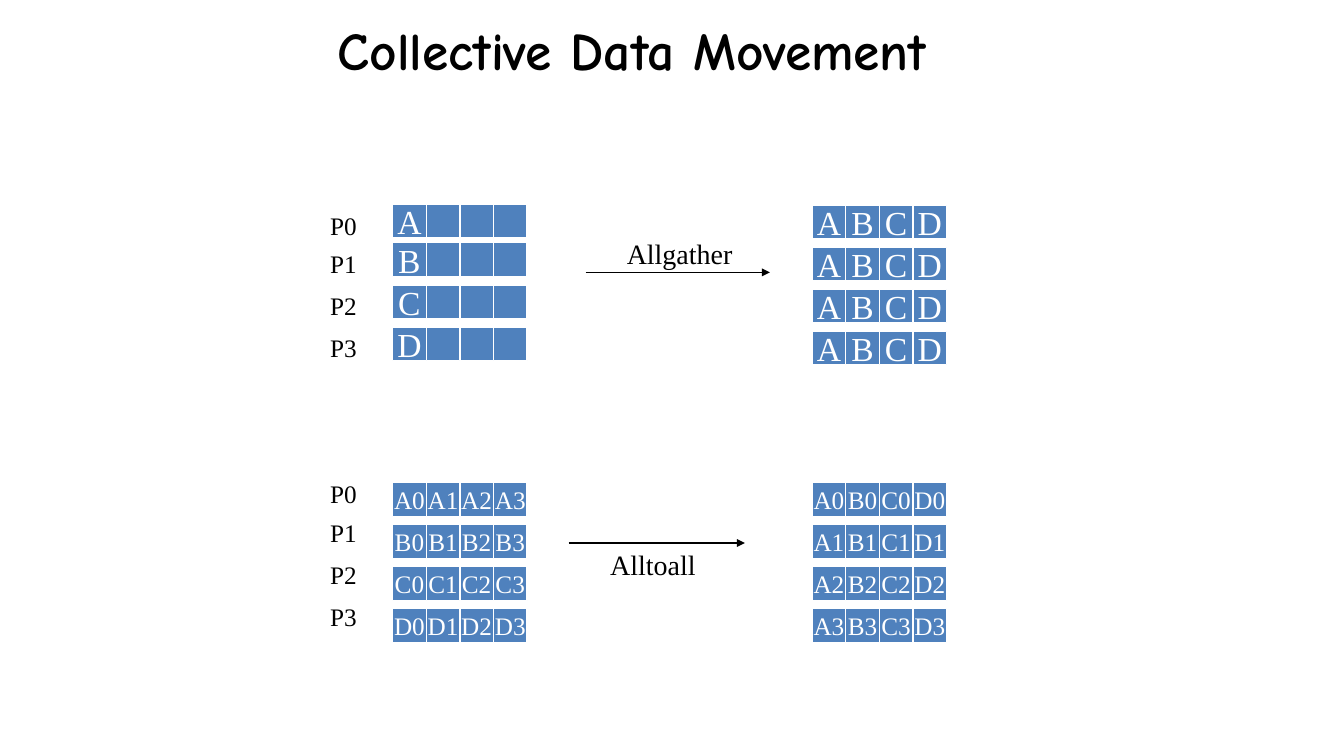
from lxml import etree
from pptx import Presentation
from pptx.dml.color import RGBColor
from pptx.enum.shapes import MSO_CONNECTOR, MSO_SHAPE
from pptx.enum.text import MSO_ANCHOR, MSO_AUTO_SIZE, PP_ALIGN
from pptx.oxml.ns import qn
from pptx.util import Pt

RECTANGLE = MSO_SHAPE.RECTANGLE
STRAIGHT = MSO_CONNECTOR.STRAIGHT
MIDDLE = MSO_ANCHOR.MIDDLE
CENTER, LEFT = PP_ALIGN.CENTER, PP_ALIGN.LEFT
GROW = MSO_AUTO_SIZE.SHAPE_TO_FIT_TEXT

# Content
TITLE = "Collective Data Movement"
PROCESSES = ["P0", "P1", "P2", "P3"]
LETTERS = "ABCD"
BLOCKS = [[f"{letter}{i}" for i in range(4)] for letter in LETTERS]

# Row offsets: one set is evenly spaced, the other has a tighter first gap
EVEN = [0, 31.5, 63, 94.5]
TIGHT = [0, 28.8, 60.4, 92.1]
BEFORE_X, AFTER_X, PROCESS_X = 294.5, 609.1, 240.5
CELL = 25.2

# Each grid: left, top, row offsets, text size, rows
GRIDS = [
    (BEFORE_X, 153.4, TIGHT, 25.2, [[letter, "", "", ""] for letter in LETTERS]),
    (AFTER_X, 154.1, EVEN, 25.2, [list(LETTERS)] * 4),
    (BEFORE_X, 362.3, EVEN, 18.9, BLOCKS),
    (AFTER_X, 362.3, EVEN, 18.9, list(zip(*BLOCKS))),
]
PROCESS_TOPS = [154.1, 355.7]
# Each operation: name, label box, arrow start, arrow end, arrow height
OPERATIONS = [
    ("Allgather", (463, 174.2, 93.6, 32.4), 439.2, 577.4, 204.4),
    ("Alltoall", (450.6, 407.6, 78.5, 32.4), 426.4, 558.7, 407.5),
]

BODY_FONT = "Times New Roman"
BLACK, WHITE, BLUE = "000000", "FFFFFF", "4F81BD"


def color(hex_value):
    return RGBColor.from_string(hex_value)


def write(shape, text, size, hex_value, align, font=BODY_FONT, bold=False):
    paragraph = shape.text_frame.paragraphs[0]
    paragraph.alignment = align
    run = paragraph.add_run()
    run.text = text
    formats = {"name": font, "size": Pt(size), "bold": bold}
    for attribute, value in formats.items():
        setattr(run.font, attribute, value)
    run.font.color.rgb = color(hex_value)


def add_cell(slide, left, top, text, size):
    cell = slide.shapes.add_shape(RECTANGLE, Pt(left), Pt(top), Pt(CELL), Pt(CELL))
    cell.shadow.inherit = False
    cell.fill.solid()
    cell.fill.fore_color.rgb = color(BLUE)
    cell.line.color.rgb = color(WHITE)
    cell.line.width = Pt(1)
    cell.text_frame.word_wrap = False
    cell.text_frame.vertical_anchor = MIDDLE
    if text:
        write(cell, text, size, WHITE, CENTER)


def add_label(slide, box, text, size):
    label = slide.shapes.add_textbox(*map(Pt, box))
    label.text_frame.word_wrap = False
    label.text_frame.auto_size = GROW
    write(label, text, size, BLACK, LEFT)


def add_arrow(slide, start, end, y):
    arrow = slide.shapes.add_connector(STRAIGHT, Pt(start), Pt(y), Pt(end), Pt(y))
    arrow.line.color.rgb = color(BLACK)
    arrow.line.width = Pt(1)
    etree.SubElement(arrow.line._get_or_add_ln(), qn("a:tailEnd"), type="triangle")
    etree.SubElement(arrow._element.spPr, qn("a:effectLst"))


def main():
    deck = Presentation()
    deck.slide_width, deck.slide_height = Pt(1008), Pt(567.36)
    slide = deck.slides.add_slide(deck.slide_layouts[5])

    # Title
    title = slide.shapes.title
    title_box = {"left": 50.4, "top": 5.8, "width": 847.4, "height": 62.6}
    for attribute, value in title_box.items():
        setattr(title, attribute, Pt(value))
    title.text_frame.vertical_anchor = MIDDLE
    write(title, TITLE, 40, BLACK, CENTER, "Comic Neue", True)

    # Data before and after each operation
    for left, top, offsets, size, rows in GRIDS:
        for offset, row in zip(offsets, rows):
            for column, text in enumerate(row):
                add_cell(slide, left + column * CELL, top + offset, text, size)

    # Operations
    for name, box, start, end, y in OPERATIONS:
        add_arrow(slide, start, end, y)
        add_label(slide, box, name, 21)

    # Process names
    for top in PROCESS_TOPS:
        for offset, process in zip(TIGHT, PROCESSES):
            add_label(slide, (PROCESS_X, top + offset, 34.6, 30.2), process, 18.9)

    deck.save("out.pptx")


if __name__ == "__main__":
    main()
